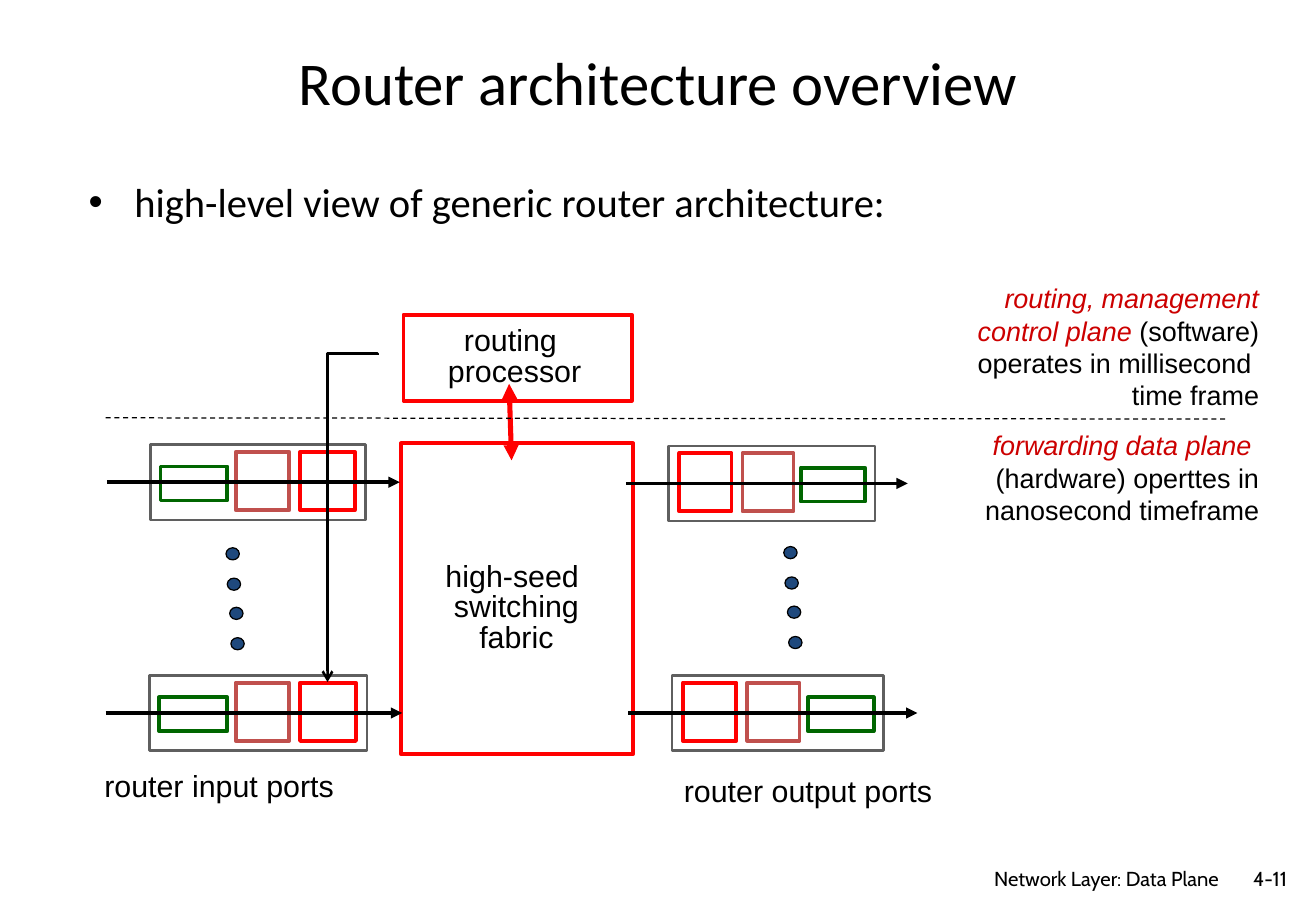
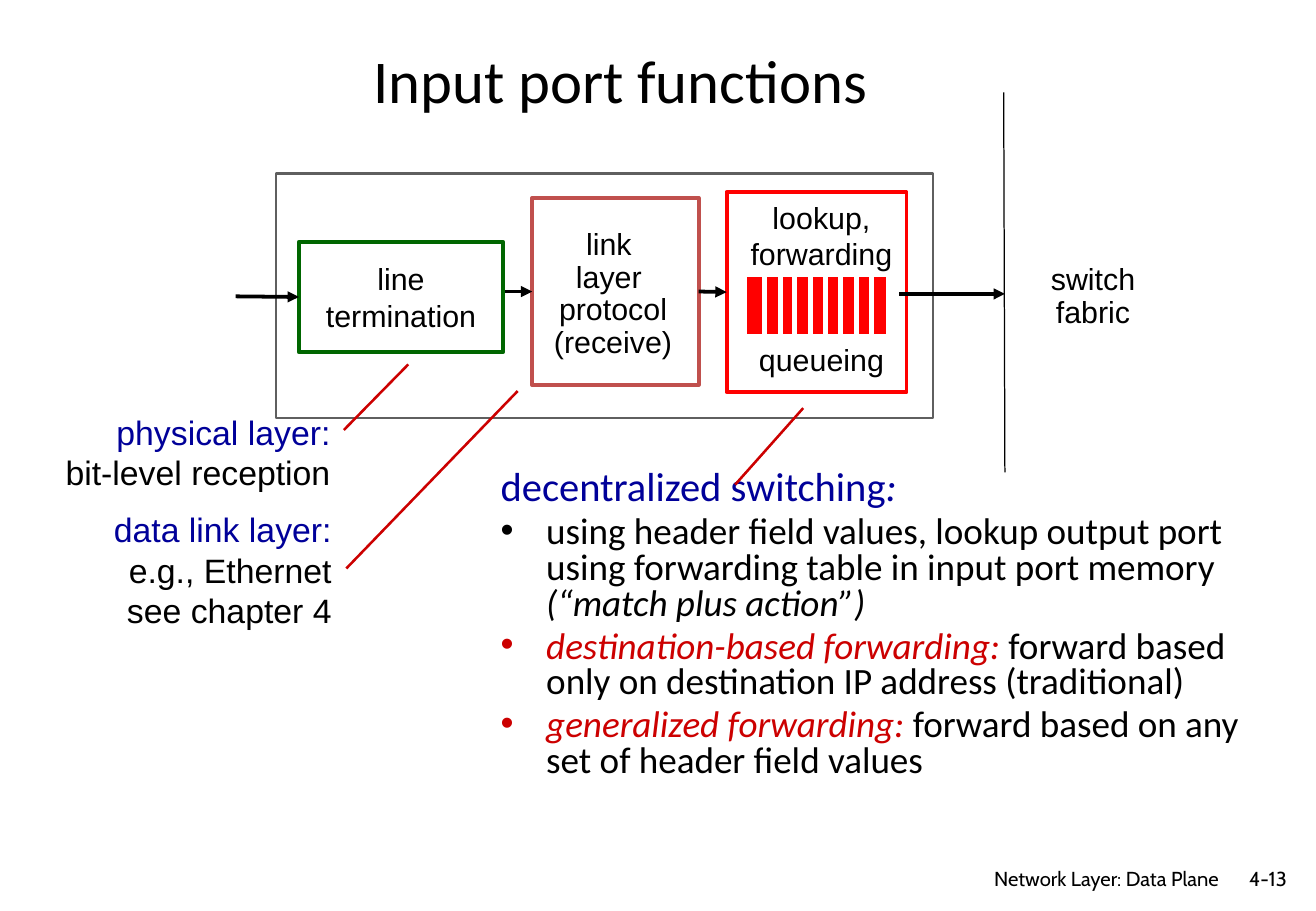
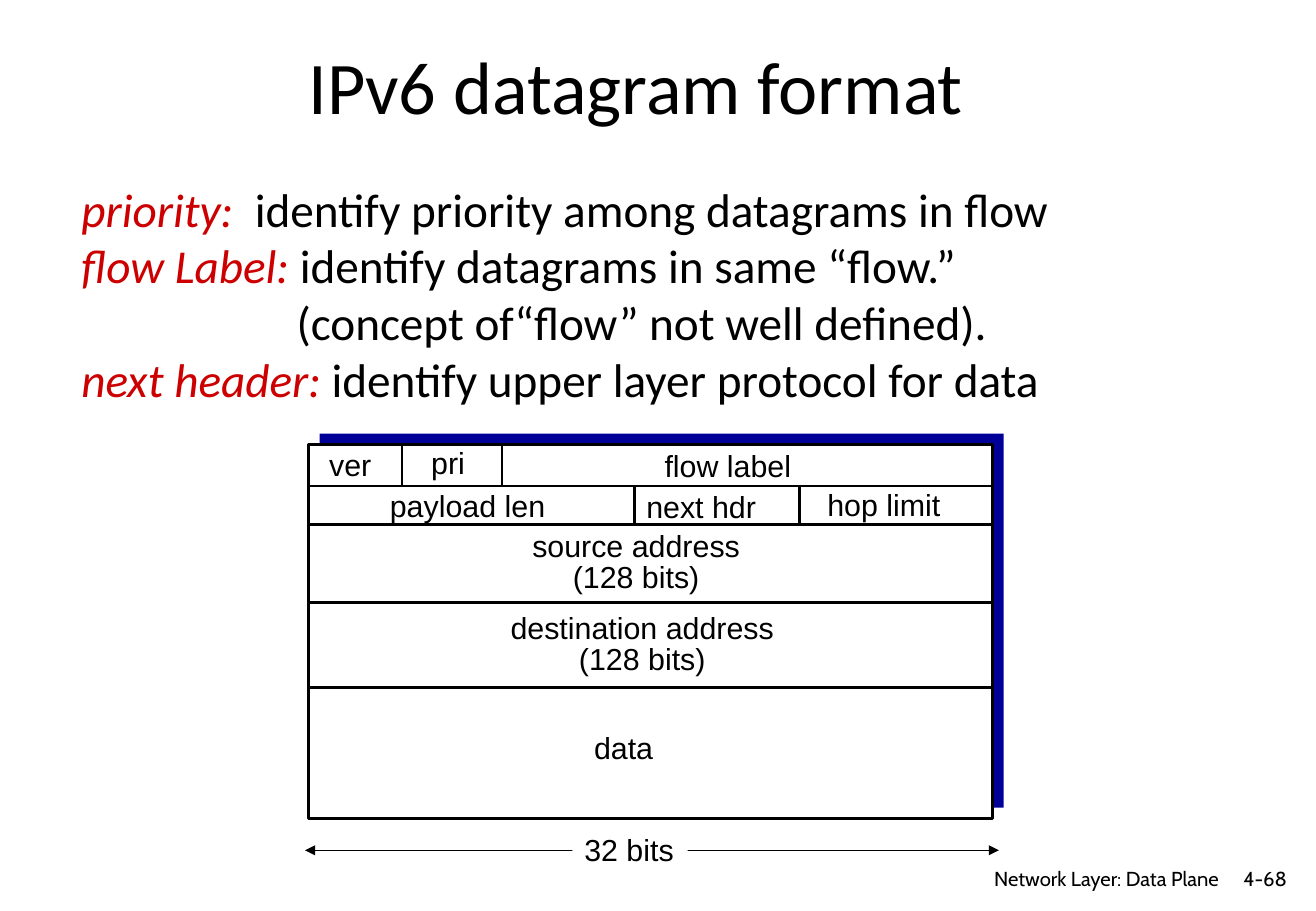
from lxml.etree import SubElement
from pptx import Presentation
from pptx.dml.color import RGBColor
from pptx.enum.dml import MSO_LINE_DASH_STYLE as Dash
from pptx.enum.shapes import MSO_AUTO_SHAPE_TYPE as Preset, MSO_CONNECTOR_TYPE as Connector
from pptx.enum.text import MSO_ANCHOR as Anchor, MSO_AUTO_SIZE as AutoSize, PP_ALIGN as Align
from pptx.oxml.ns import qn
from pptx.util import Emu, Pt

BLACK = RGBColor(0x00, 0x00, 0x00)
WHITE = RGBColor(0xFF, 0xFF, 0xFF)
RED = RGBColor(0xFF, 0x00, 0x00)
CRIMSON = RGBColor(0xCC, 0x00, 0x00)
BRICK = RGBColor(0xC0, 0x50, 0x4D)
GREEN = RGBColor(0x00, 0x66, 0x00)
GRAY = RGBColor(0x5F, 0x5F, 0x5F)
NAVY = RGBColor(0x00, 0x00, 0x99)
STEEL = RGBColor(0x1F, 0x49, 0x7D)

EMPHASIS = {"color": CRIMSON, "italic": True}
HEADING = {"color": NAVY}
LEFT = {"alignment": Align.LEFT}
RIGHT = {"alignment": Align.RIGHT}
CENTER = {"alignment": Align.CENTER}
TIGHT = {**CENTER, "line_spacing": 0.85}
SNUG = {**CENTER, "line_spacing": 0.9}

SCALE = 9144
WIDTH, HEIGHT = 1083, 750


def px(*lengths):
    return [Emu(round(length) * SCALE) for length in lengths]


def apply(target, values):
    for name, value in values.items():
        setattr(target, name, value)


class Deck:
    arial = {"name": "Arial", "size": Pt(18), "color": BLACK}
    calibri = {"name": "Calibri", "size": Pt(24), "color": BLACK}
    cabin = {"name": "Cabin", "size": Pt(12), "color": BLACK}

    def __init__(self):
        self.presentation = Presentation()
        self.presentation.slide_width, self.presentation.slide_height = px(WIDTH, HEIGHT)
        self.slide = None

    def start(self, title, number, box, size=36):
        self.slide = self.presentation.slides.add_slide(self.presentation.slide_layouts[1])
        self.fill_placeholder(0, box, [title], {**self.calibri, "size": Pt(size)}, CENTER)
        self.label((755, 708, 258, 26), ["Network Layer: Data Plane"], RIGHT, self.cabin, wrap=True)
        self.label((1002, 708, 67, 30), [number], RIGHT, self.cabin, wrap=True, anchor=Anchor.MIDDLE)

    def set_text(self, frame, paragraphs, font, layout):
        for index, runs in enumerate(paragraphs):
            paragraph = frame.add_paragraph() if index else frame.paragraphs[0]
            apply(paragraph, layout)
            for text, changes in [(runs, {})] if isinstance(runs, str) else runs:
                run = paragraph.add_run()
                run.text = text
                values = {**font, **changes}
                run.font.color.rgb = values.pop("color")
                apply(run.font, values)
        return frame.paragraphs

    def fill_placeholder(self, index, box, paragraphs, font, layout):
        shape = self.slide.placeholders[index]
        apply(shape, dict(zip(("left", "top", "width", "height"), px(*box))))
        apply(shape.text_frame, {"auto_size": AutoSize.NONE, "word_wrap": True})
        return self.set_text(shape.text_frame, paragraphs, font, layout)

    def body(self, box, paragraphs, size=24, layout=LEFT):
        return self.fill_placeholder(1, box, paragraphs, {**self.calibri, "size": Pt(size)}, layout)

    def unbullet(self, paragraph, indent=None):
        properties = paragraph._p.get_or_add_pPr()
        if indent is not None:
            properties.set("marL", str(px(indent)[0]))
            properties.set("indent", "0")
        SubElement(properties, qn("a:buNone"))

    def label(self, box, paragraphs, layout=LEFT, font=arial, wrap=False, anchor=Anchor.TOP, fill=None):
        shape = self.slide.shapes.add_textbox(*px(*box))
        if fill is not None:
            shape.fill.solid()
            shape.fill.fore_color.rgb = fill
        apply(shape.text_frame, {"word_wrap": wrap, "vertical_anchor": anchor})
        return self.set_text(shape.text_frame, paragraphs, font, layout)

    def shape(self, box, line=None, weight=2.25, fill=WHITE, preset=Preset.RECTANGLE, text=()):
        shape = self.slide.shapes.add_shape(preset, *px(*box))
        shape.shadow.inherit = False
        shape.fill.solid()
        shape.fill.fore_color.rgb = fill
        if line is None:
            shape.line.fill.background()
        else:
            shape.line.color.rgb = line
            shape.line.width = Pt(weight)
        if text:
            apply(shape.text_frame, {"word_wrap": False, "vertical_anchor": Anchor.MIDDLE})
            self.set_text(shape.text_frame, text, self.arial, CENTER)
        return shape

    def line(self, points, color=BLACK, weight=2.25, head=None, tail=None, dash=None,
             kind=Connector.STRAIGHT, begin=None, end=None):
        connector = self.slide.shapes.add_connector(kind, *px(*points))
        connector.line.color.rgb = color
        connector.line.width = Pt(weight)
        if dash is not None:
            connector.line.dash_style = dash
        properties = connector._element.spPr
        outline = properties.find(qn("a:ln"))
        for tag, arrow in (("a:headEnd", head), ("a:tailEnd", tail)):
            if arrow:
                SubElement(outline, qn(tag)).set("type", arrow)
        SubElement(properties, qn("a:effectLst"))
        if begin is not None:
            connector.begin_connect(*begin)
        if end is not None:
            connector.end_connect(*end)
        return connector

    def turned_elbow(self, points, **style):
        properties = self.line(points, kind=Connector.ELBOW, **style)._element.spPr
        properties.find(qn("a:xfrm")).set("rot", str(90 * 60000))
        adjustments = properties.find(qn("a:prstGeom")).find(qn("a:avLst"))
        guide = SubElement(adjustments, qn("a:gd"))
        guide.set("name", "adj1")
        guide.set("fmla", "val -100")

    def port(self, left, top, width, arrow, mirrored=False):
        self.shape((left, top, width, 62), GRAY, 1.5)
        factor = width / 177
        for offset, drop, size, height, color in (
            (8, 18, 55, 28, GREEN), (70, 6, 44, 48, BRICK), (123, 6, 45, 48, RED),
        ):
            start = 177 - offset - size if mirrored else offset
            self.shape((left + start * factor, top + drop, size * factor, height), color)
        self.line((arrow[0], top + 31, arrow[1], top + 31), tail="triangle")

    def dots(self, left, top):
        for index in range(4):
            self.shape((left + index * 4 / 3, top + index * 24.7, 11, 10), BLACK, 0.75, STEEL, Preset.OVAL)


def router_overview(deck):
    deck.start("Router architecture overview", "4-11", (81, 33, 921, 67))
    deck.body((63, 141, 921, 64), ["high-level view of generic router architecture:"])
    deck.shape((330, 365, 191, 256), RED)
    deck.label((356, 458, 138, 87), ["high-seed ", "switching", "fabric"], TIGHT)
    deck.shape((332, 259, 188, 71), RED)
    deck.label((358, 264, 131, 62), ["routing ", "processor"], TIGHT)
    deck.line((419, 316, 421, 379), RED, 3, head="triangle", tail="triangle")
    deck.port(124, 366, 177, (88, 329))
    deck.port(123, 556, 179, (87, 331))
    deck.port(550, 367, 170, (515, 747), mirrored=True)
    deck.port(553, 556, 174, (517, 755), mirrored=True)
    deck.dots(186, 451)
    deck.dots(645, 450)
    deck.label((76, 627, 211, 40), ["router input ports"])
    deck.label((553, 631, 226, 40), ["router output ports"])
    deck.line((87, 344, 1011, 345), weight=0.75, dash=Dash.DASH)
    note = {**deck.arial, "size": Pt(16)}
    deck.label((787, 348, 259, 91), [
        [("forwarding data plane ", EMPHASIS)],
        "(hardware) operttes in nanosecond timeframe",
    ], RIGHT, note, wrap=True)
    deck.label((705, 227, 341, 118), [
        [("routing, management", EMPHASIS)],
        [("control plane ", EMPHASIS), ("(software)", {})],
        "operates in millisecond ",
        "time frame",
    ], RIGHT, note, wrap=True)
    deck.turned_elbow((155, 406, 425, 447), weight=1.5, tail="arrow")


def input_port(deck):
    deck.start("Input port functions", "4-13", (50, 32, 921, 67))
    deck.shape((227, 143, 541, 201), GRAY, 1.5)
    termination = deck.shape((246, 199, 168, 91), GREEN, text=["line", "termination"])
    link = deck.shape((438, 163, 137, 154), BRICK)
    lookup = deck.shape((598, 158, 148, 165), RED)
    deck.line((194, 244, 246, 244), tail="triangle", end=(termination, 1))
    deck.line((416, 240, 438, 240), tail="triangle", end=(link, 1))
    deck.line((575, 240, 598, 240), tail="triangle", begin=(link, 3), end=(lookup, 1))
    deck.line((740, 242, 827, 242), tail="triangle")
    deck.label((442, 197, 125, 91), ["link ", "layer ", "protocol", "(receive)"], SNUG, anchor=Anchor.MIDDLE)
    lines = deck.label((607, 159, 138, 162), ["lookup,", "forwarding", "queueing"], CENTER)
    lines[-1].space_before = Pt(41)
    paragraphs = deck.body((402, 382, 646, 292), [
        [("decentralized switching", {**HEADING, "size": Pt(24)}),
         (":", {**HEADING, "size": Pt(24), "italic": True})],
        [("using header field values, lookup output port using forwarding table in input port memory ", {}),
         ("(“match plus action”)", {"italic": True})],
        [("destination-based forwarding: ", EMPHASIS),
         ("forward based only on destination IP address (traditional)", {})],
        [("generalized forwarding: ", EMPHASIS),
         ("forward based on any set of header field values", {})],
    ], 22, {**LEFT, "line_spacing": 0.8})
    deck.unbullet(paragraphs[0])
    layer = {**deck.arial, "size": Pt(20)}
    deck.label((42, 334, 240, 77), [[("physical layer:", HEADING)], "bit-level reception"], RIGHT, layer)
    deck.label((82, 414, 201, 111), [
        [("data link layer:", HEADING)], "e.g., Ethernet", "see chapter 4",
    ], RIGHT, layer)
    deck.line((826, 76, 827, 389), weight=0.75)
    deck.label((837, 199, 125, 91), ["switch", "fabric"], SNUG, anchor=Anchor.MIDDLE)
    deck.shape((613, 226, 118, 51), WHITE, 3, RED)
    for index in range(8):
        x = 629 + index * 12.6
        deck.line((x, 227, x, 276), WHITE, 3)
    for points in ((283, 354, 336, 300), (285, 468, 426, 322), (605, 399, 661, 336)):
        deck.line(points, CRIMSON, 1.5)


def datagram_format(deck):
    deck.start("IPv6 datagram format", "4-68", (63, 20, 921, 99), 44)
    paragraphs = deck.body((57, 143, 900, 199), [
        [("priority:", EMPHASIS), ("  identify priority among datagrams in flow", {})],
        [("flow Label:", EMPHASIS), (" identify datagrams in same “flow.”", {})],
        "(concept of“flow” not well defined).",
        [("next header:", EMPHASIS), (" identify upper layer protocol for data", {})],
    ], 28, {**LEFT, "space_before": Pt(0)})
    for paragraph, indent in zip(paragraphs, (0, 0, 177, 0)):
        deck.unbullet(paragraph, indent)
    left, top, width, height = 254, 366, 563, 308
    deck.shape((left + 9, top - 9, width, height), fill=NAVY)
    deck.shape((left, top, width, height), BLACK, 1.5)
    rows = (400, 432, 496, 566)
    for y in rows:
        deck.line((left, y, left + width, y), weight=1.5)
    for x, start, end in (
        (331, top, rows[0]), (413, top, rows[0]), (522, rows[0], rows[1]), (658, rows[0], rows[1]),
    ):
        deck.line((x, start, x, end), weight=1.5)
    for x, y, size, text in (
        (261, 362, 55, "ver"), (345, 361, 48, "pri"), (537, 363, 125, "flow label"),
        (311, 396, 149, "payload len"), (522, 397, 111, "next hdr"), (671, 395, 114, "hop limit"),
        (479, 595, 69, "data"),
    ):
        deck.label((x, y, size, 40), [text])
    for x, y, size, text in ((427, 434, 193, "source address"), (409, 501, 239, "destination address")):
        deck.label((x, y, size, 62), [text, "(128 bits)"], TIGHT)
    deck.line((251, 700, 822, 700), weight=0.75, head="triangle", tail="triangle")
    deck.label((471, 679, 95, 40), ["32 bits"], fill=WHITE)


def main():
    deck = Deck()
    for build in (router_overview, input_port, datagram_format):
        build(deck)
    deck.presentation.save("out.pptx")


if __name__ == "__main__":
    main()
